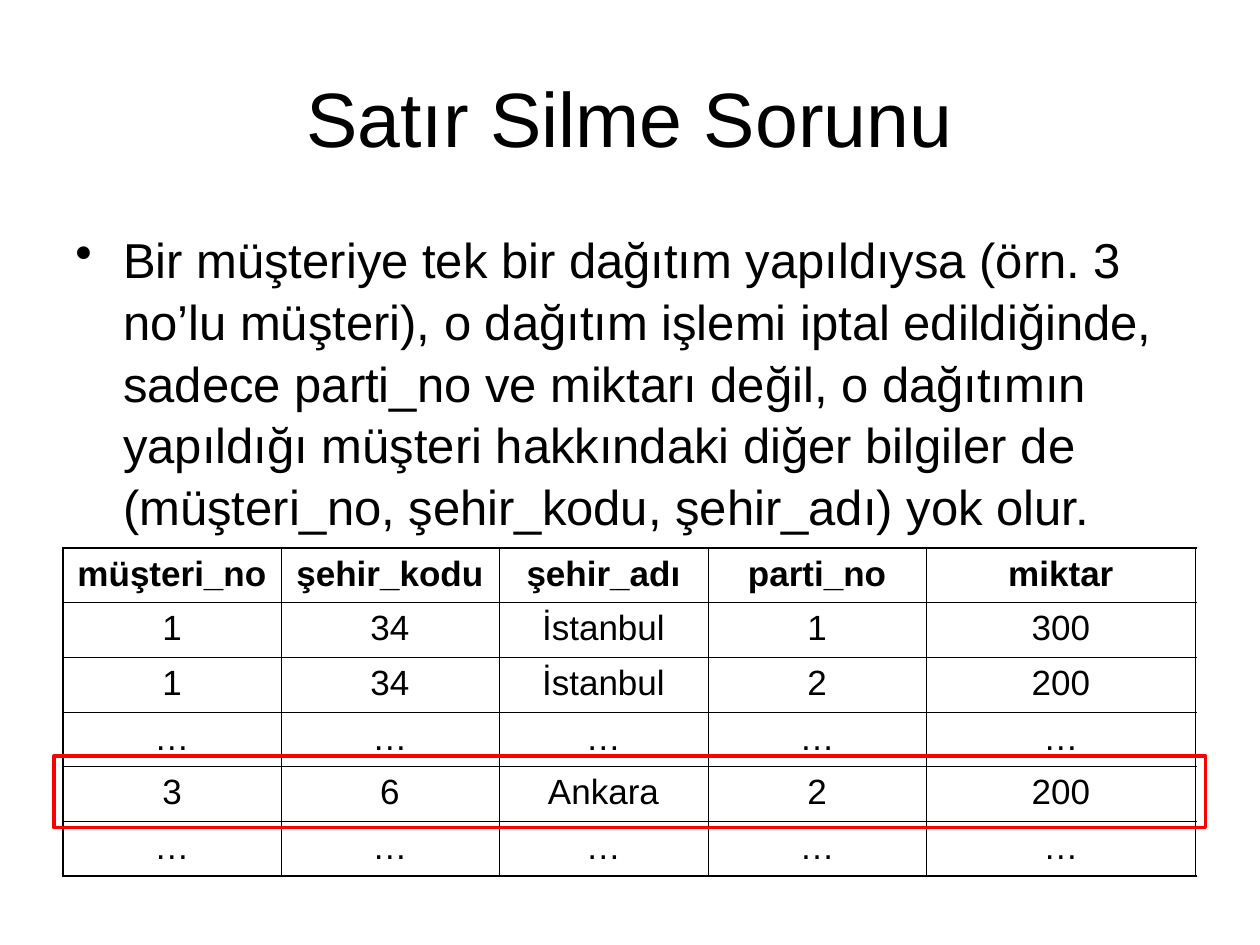
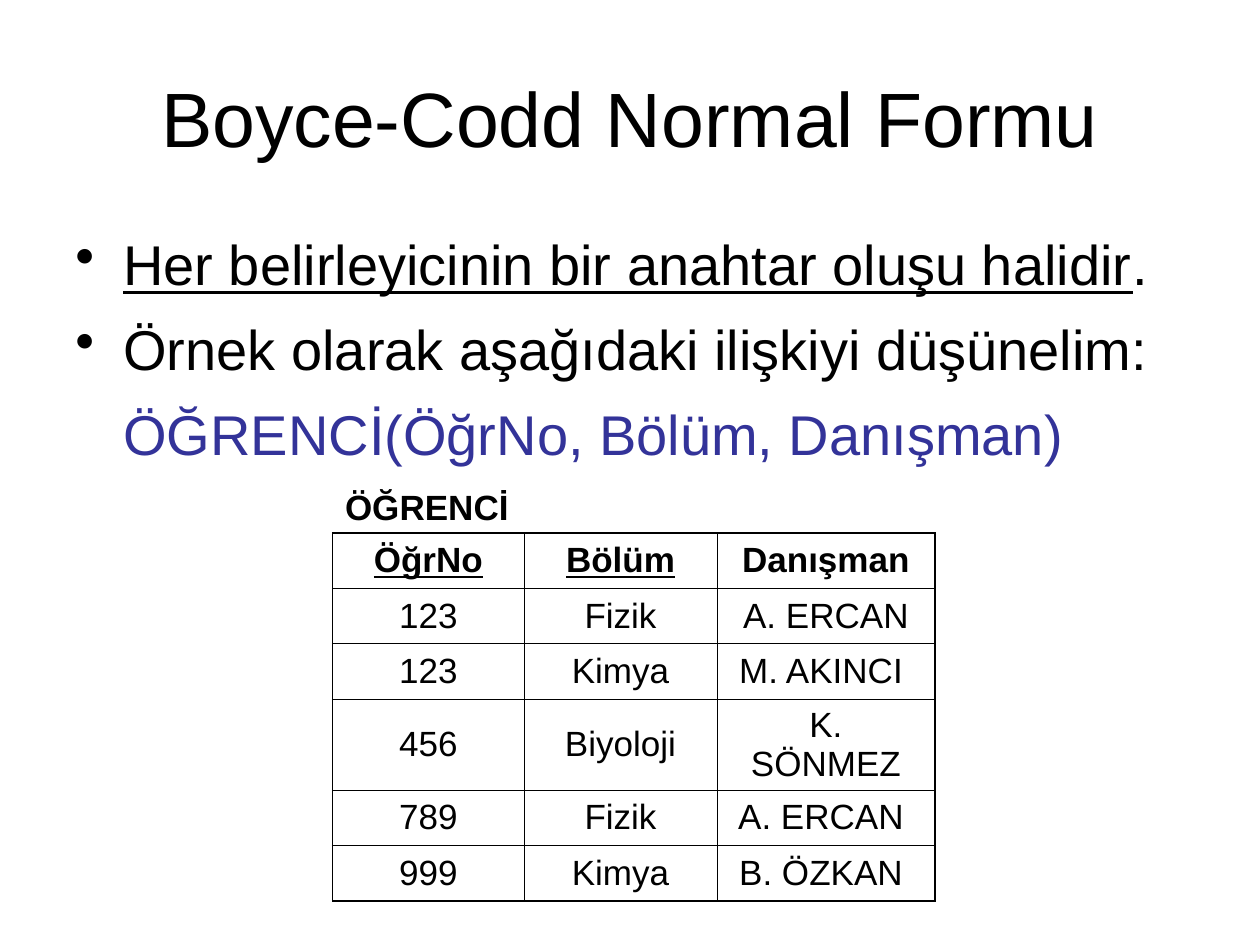
import pptx
import pptx.dml.color
import pptx.enum.shapes
import pptx.enum.text
import pptx.oxml
import pptx.oxml.ns
import pptx.util
from pptx.util import Inches, Pt

BLACK = pptx.dml.color.RGBColor(0x00, 0x00, 0x00)
RED = pptx.dml.color.RGBColor(0xFF, 0x00, 0x00)
INDIGO = pptx.dml.color.RGBColor(0x33, 0x33, 0x99)
FONT = "Arial"
OUTER_BORDER = Pt(1.08)
INNER_BORDER = Pt(0.45)
TEXT_INDENT = Inches(0.38)
LINE_SPACING = 1.05
CENTER = pptx.enum.text.PP_ALIGN.CENTER
TOP = pptx.enum.text.MSO_ANCHOR.TOP
MIDDLE = pptx.enum.text.MSO_ANCHOR.MIDDLE

DELIVERIES = [
    ["müşteri_no", "şehir_kodu", "şehir_adı", "parti_no", "miktar"],
    ["1", "34", "İstanbul", "1", "300"],
    ["1", "34", "İstanbul", "2", "200"],
    ["…"] * 5,
    ["3", "6", "Ankara", "2", "200"],
    ["…"] * 5,
]
STUDENTS = [
    ["ÖğrNo", "Bölüm", "Danışman"],
    ["123", "Fizik", "A. ERCAN"],
    ["123", "Kimya", "M. AKINCI "],
    ["456", "Biyoloji", "K. SÖNMEZ"],
    ["789", "Fizik", "A. ERCAN "],
    ["999", "Kimya", "B. ÖZKAN "],
]
STUDENT_KEYS = ("ÖğrNo", "Bölüm")


def style_font(font, size, color=BLACK, bold=False):
    font.name = FONT
    font.size = Pt(size)
    font.bold = bold
    font.color.rgb = color


def add_titled_slide(presentation, text):
    slide = presentation.slides.add_slide(presentation.slide_layouts[5])
    title = slide.shapes.title
    title.left, title.top = Inches(0.5), Inches(0.3)
    title.width, title.height = Inches(9), Inches(1.25)
    title.text_frame.text = text
    title.text_frame.vertical_anchor = MIDDLE
    paragraph = title.text_frame.paragraphs[0]
    paragraph.alignment = CENTER
    style_font(paragraph.font, 44)
    return slide


def add_text_frame(slide, left, top, width, height):
    box = slide.shapes.add_textbox(Inches(left), Inches(top), Inches(width), Inches(height))
    box.text_frame.word_wrap = True
    return box.text_frame


def indent(paragraph, bullet):
    properties = paragraph._p.get_or_add_pPr()
    properties.set("marL", str(TEXT_INDENT))
    properties.set("indent", str(-TEXT_INDENT if bullet else 0))
    if bullet:
        mark = pptx.oxml.parse_xml(f'<a:buChar {pptx.oxml.ns.nsdecls("a")} char="•"/>')
        properties.append(mark)


def add_body(slide, height, size, lines):
    """Each line is (text, bullet, color)."""
    frame = add_text_frame(slide, 0.5, 1.75, 9, height)
    for number, (text, bullet, color) in enumerate(lines):
        paragraph = frame.add_paragraph() if number else frame.paragraphs[0]
        indent(paragraph, bullet)
        paragraph.line_spacing = LINE_SPACING
        if number:
            paragraph.space_before = Pt(8)
        paragraph.add_run().text = text
        style_font(paragraph.font, size, color)
    return frame


def set_border(cell, side, width):
    line = pptx.oxml.parse_xml(
        f'<a:{side} {pptx.oxml.ns.nsdecls("a")} w="{width}"><a:solidFill>'
        f'<a:srgbClr val="{BLACK}"/></a:solidFill></a:{side}>'
    )
    cell._tc.get_or_add_tcPr().append(line)


def add_grid(slide, left, top, column_widths, row_height, rows, anchor, underlined=()):
    """Table with a bold first row, thin inner lines and a thicker frame."""
    frame = slide.shapes.add_table(
        len(rows), len(column_widths), Inches(left), Inches(top),
        Inches(sum(column_widths)), Inches(row_height * len(rows)),
    )
    table = frame.table
    table.first_row = table.horz_banding = False
    for column, width in zip(table.columns, column_widths):
        column.width = Inches(width)
    last_row, last_column = len(rows) - 1, len(column_widths) - 1
    for r, values in enumerate(rows):
        for c, value in enumerate(values):
            cell = table.cell(r, c)
            cell.text = value
            cell.vertical_anchor = anchor
            paragraph = cell.text_frame.paragraphs[0]
            paragraph.alignment = CENTER
            style_font(paragraph.font, 20, bold=r == 0)
            if value in underlined:
                paragraph.font.underline = True
            on_frame = {"lnL": c == 0, "lnR": c == last_column,
                        "lnT": r == 0, "lnB": r == last_row}
            for side, outer in on_frame.items():
                set_border(cell, side, OUTER_BORDER if outer else INNER_BORDER)
            cell.fill.background()


def add_highlight(slide, left, top, width, height):
    frame = slide.shapes.add_shape(
        pptx.enum.shapes.MSO_SHAPE.RECTANGLE,
        Inches(left), Inches(top), Inches(width), Inches(height),
    )
    frame.shadow.inherit = False
    frame.fill.background()
    frame.line.color.rgb = RED
    frame.line.width = Pt(2)


def add_table_label(slide, text):
    paragraph = add_text_frame(slide, 2.64, 3.79, 2.44, 0.44).paragraphs[0]
    paragraph.text = text
    paragraph.line_spacing = LINE_SPACING
    style_font(paragraph.font, 20, bold=True)


def build_deletion_slide(presentation):
    slide = add_titled_slide(presentation, "Satır Silme Sorunu")
    add_body(slide, 2.55, 28, [(
        "Bir müşteriye tek bir dağıtım yapıldıysa (örn. 3 no’lu müşteri), "
        "o dağıtım işlemi iptal edildiğinde, sadece parti_no ve miktarı değil, "
        "o dağıtımın yapıldığı müşteri hakkındaki diğer bilgiler de "
        "(müşteri_no, şehir_kodu, şehir_adı) yok olur.", True, BLACK)])
    add_grid(slide, 0.5, 4.35, [1.73, 1.73, 1.66, 1.73, 2.14], 0.43, DELIVERIES, TOP)
    add_highlight(slide, 0.43, 6, 9.14, 0.57)


def build_normal_form_slide(presentation):
    slide = add_titled_slide(presentation, "Boyce-Codd Normal Formu")
    add_grid(slide, 2.64, 4.23, [1.52, 1.53, 1.73], 0.44, STUDENTS, MIDDLE, STUDENT_KEYS)
    body = add_body(slide, 1.84, 32, [
        ("Her belirleyicinin bir anahtar oluşu halidir", True, BLACK),
        ("Örnek olarak aşağıdaki ilişkiyi düşünelim:", True, BLACK),
        ("ÖĞRENCİ(ÖğrNo, Bölüm, Danışman)", False, INDIGO),
    ])
    definition = body.paragraphs[0]
    definition.runs[0].font.underline = True
    definition.add_run().text = "."
    add_table_label(slide, "ÖĞRENCİ")


def main():
    presentation = pptx.Presentation()
    presentation.slide_width = Inches(10)
    presentation.slide_height = Inches(7.5)
    build_deletion_slide(presentation)
    build_normal_form_slide(presentation)
    presentation.save("out.pptx")


if __name__ == "__main__":
    main()
